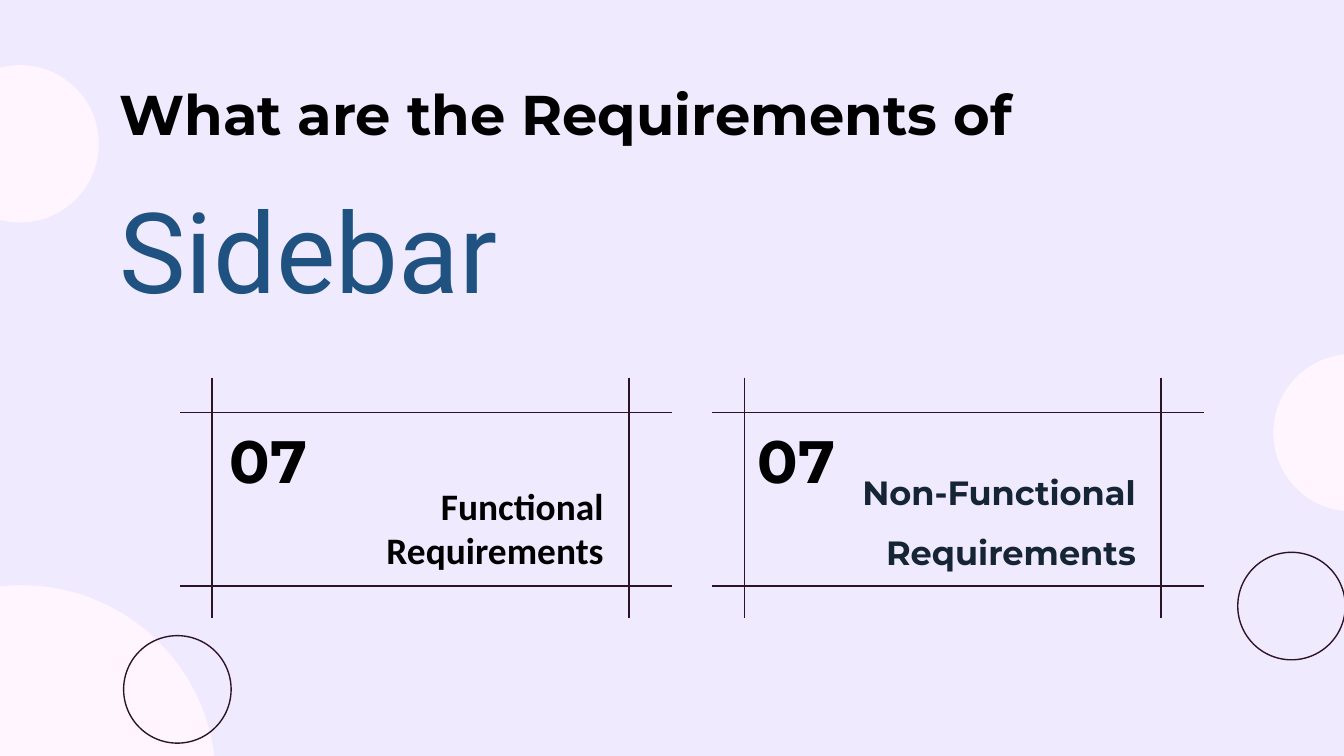
from lxml import etree
from pptx import Presentation
from pptx.dml.color import RGBColor
from pptx.enum import shapes, text
from pptx.oxml import ns
from pptx.util import Inches, Pt

LILAC = RGBColor(0xF0, 0xEA, 0xFE)
PINK = RGBColor(0xFF, 0xF5, 0xFE)
PLUM = RGBColor(0x2C, 0x14, 0x26)
RULE = RGBColor(0x2C, 0x13, 0x25)
BLACK = RGBColor(0, 0, 0)
BLUE = RGBColor(0x1F, 0x52, 0x80)
NAVY = RGBColor(0x16, 0x25, 0x35)


def circle(slide, x, y, size, fill=None):
    """Draw a filled pink disc or, without a fill, a plum ring."""
    disc = slide.shapes.add_shape(
        shapes.MSO_SHAPE.OVAL, Inches(x), Inches(y), Inches(size), Inches(size))
    disc.shadow.inherit = False
    if fill is None:
        disc.fill.background()
    else:
        disc.fill.solid()
        disc.fill.fore_color.rgb = fill
    disc.line.color.rgb = fill or PLUM
    disc.line.width = Pt(0.75)


def rule(slide, x1, y1, x2, y2):
    """Draw a thin straight line."""
    line = slide.shapes.add_connector(
        shapes.MSO_CONNECTOR.STRAIGHT,
        Inches(x1), Inches(y1), Inches(x2), Inches(y2))
    line.line.color.rgb = RULE
    line.line.width = Pt(1)
    etree.SubElement(line._element.spPr, ns.qn("a:effectLst"))


def write(slide, box, lines, anchor, align=text.PP_ALIGN.LEFT, side=0.1):
    """Place a text box with one styled paragraph per line."""
    frame = slide.shapes.add_textbox(*map(Inches, box)).text_frame
    frame.word_wrap = True
    frame.vertical_anchor = anchor
    frame.margin_left = frame.margin_right = Inches(side)
    frame.margin_top = frame.margin_bottom = Inches(0.1)
    frame.text = "\n".join(line[0] for line in lines)
    for para, (_, face, size, color, bold) in zip(frame.paragraphs, lines):
        para.alignment = align
        font = para.runs[0].font
        font.name, font.size, font.bold = face, Pt(size), bold
        font.color.rgb = color
    return frame


def heading(slide, x, y, w, h):
    """Write the question and its large subject."""
    frame = write(slide, (x, y, w, h), [
        ("What are the Requirements of", "Montserrat", 30, BLACK, True),
        ("Sidebar", "Roboto", 60, BLUE, False)], text.MSO_ANCHOR.TOP)
    frame.paragraphs[1].space_before = Pt(19)


def card(slide, x, y, w, h, inset, count, label, space):
    """Draw crossing rules around a count and its label."""
    for dx in (0.24, 3.34):
        rule(slide, x + dx, y, x + dx, y + h)
    for dy in (0.26, 1.55):
        rule(slide, x, y + dy, x + w, y + dy)
    write(slide, (x + inset, y + 0.33, 0.73, 0.56),
          [(count, "Montserrat", 32, BLACK, True)],
          text.MSO_ANCHOR.MIDDLE, side=0)
    frame = write(slide, (x + 0.87, y + 0.99, 2.38, 0.56), [label],
                  text.MSO_ANCHOR.BOTTOM, text.PP_ALIGN.RIGHT)
    frame.paragraphs[0].line_spacing = space


def main():
    """Build and save the slide."""
    deck = Presentation()
    deck.slide_width = Inches(10)
    deck.slide_height = deck.slide_width * 9 // 16
    slide = deck.slides.add_slide(deck.slide_layouts[6])
    slide.background.fill.solid()
    slide.background.fill.fore_color.rgb = LILAC
    for x, y, size, fill in (
            (9.21, 4.11, 0.8, None), (9.48, 2.64, 1.16, PINK),
            (-0.43, 0.49, 1.16, PINK), (-1.28, 4.36, 2.88, PINK),
            (0.92, 4.73, 0.8, None)):
        circle(slide, x, y, size, fill)
    heading(slide, 0.79, 0.49, 8.43, 0.63)
    cards = (
        (0.37, "07", ("Functional Requirements", "Calibri", 20, BLACK, True), 1.0),
        (0.34, "07",
         ("Non-Functional Requirements", "Montserrat", 18, NAVY, True), 1.5))
    for i, parts in enumerate(cards):
        card(slide, 1.34 + 3.96 * i, 2.81, 3.66, 1.79, *parts)
    deck.save("out.pptx")


if __name__ == "__main__":
    main()
